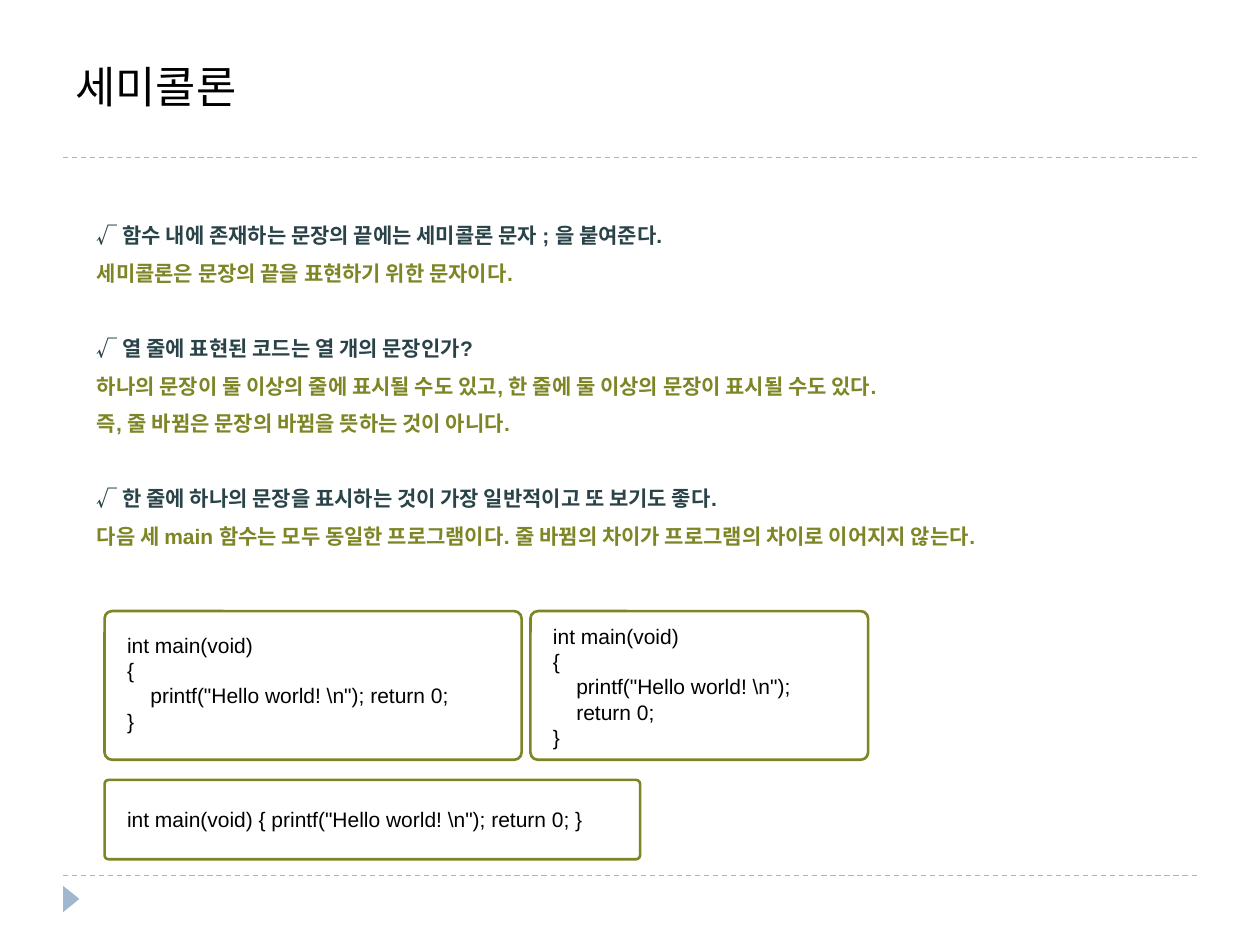
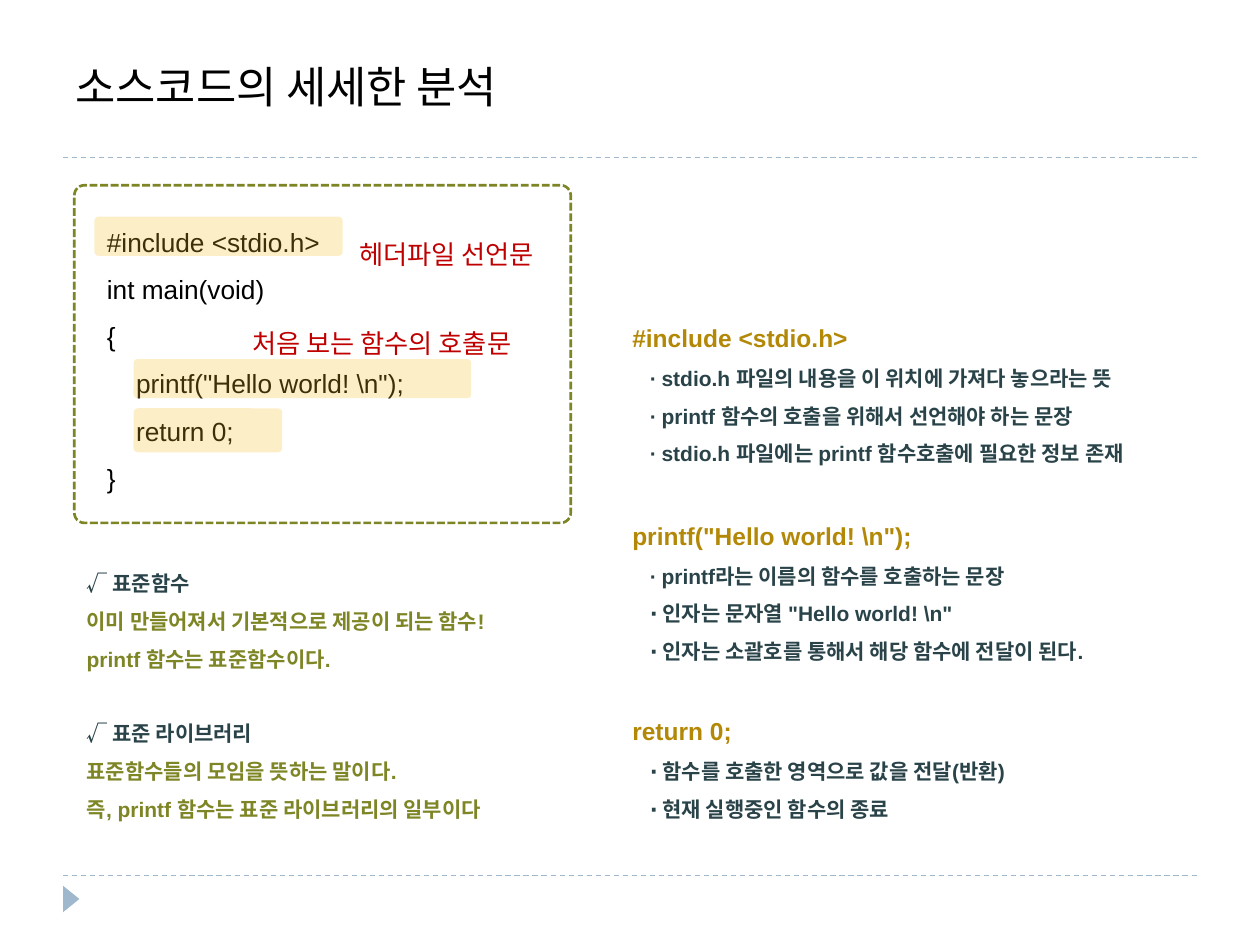
"""Build two slides on semicolons and on the parts of a first C program."""
import pptx
import pptx.util
import pptx.dml.color
import pptx.enum.dml
import pptx.enum.shapes
import pptx.enum.text
import pptx.oxml
import pptx.oxml.ns
from pptx.util import Inches

COLORS = {
    "rule": "9FB8CD",
    "text": "000000",
    "point": "294349",
    "answer": "7D8525",
    "heading": "B38807",
    "label": "C00000",
    "highlight": "F7C120",
}
LATIN = "Arial"
KOREAN = "Noto Sans CJK KR"
DASH = pptx.enum.dml.MSO_LINE
SHAPE = pptx.enum.shapes.MSO_SHAPE
ANCHOR = pptx.enum.text.MSO_ANCHOR
ALIGN = pptx.enum.text.PP_ALIGN
BLOCK_GAP = 21


def rgb(name):
    return pptx.dml.color.RGBColor.from_string(COLORS[name])


def set_font(paragraph, size, color, bold=False, face=LATIN):
    paragraph.font.name = face
    paragraph.font.size = pptx.util.Pt(size)
    paragraph.font.bold = bold
    paragraph.font.color.rgb = rgb(color)


def indent(paragraph, inches):
    properties = paragraph._p.get_or_add_pPr()
    properties.set("marL", str(Inches(inches)))
    properties.set("indent", "0")


def add_rule(slide, y):
    rule = slide.shapes.add_connector(
        pptx.enum.shapes.MSO_CONNECTOR.STRAIGHT,
        Inches(0.5), Inches(y), Inches(9.5), Inches(y))
    rule.line.color.rgb = rgb("rule")
    rule.line.width = pptx.util.Pt(0.75)
    rule.line.dash_style = DASH.DASH
    rule._element.spPr.append(pptx.oxml.parse_xml(
        f'<a:effectLst {pptx.oxml.ns.nsdecls("a")}/>'))


def add_shape(slide, preset, area):
    shape = slide.shapes.add_shape(preset, *map(Inches, area))
    shape.shadow.inherit = False
    return shape


def add_titled_slide(deck, title):
    slide = deck.slides.add_slide(deck.slide_layouts[5])
    for y in (6.95, 1.25):
        add_rule(slide, y)
    marker = add_shape(slide, SHAPE.ISOSCELES_TRIANGLE, (0.46, 7.07, 0.21, 0.13))
    marker.rotation = 90
    marker.fill.solid()
    marker.fill.fore_color.rgb = rgb("rule")
    marker.line.fill.background()

    holder = slide.shapes.title
    holder.left, holder.top = Inches(0.5), Inches(0.17)
    holder.width, holder.height = Inches(9), Inches(0.77)
    frame = holder.text_frame
    frame.text = title
    frame.auto_size = pptx.enum.text.MSO_AUTO_SIZE.NONE
    frame.vertical_anchor = ANCHOR.BOTTOM
    frame.paragraphs[0].alignment = ALIGN.LEFT
    set_font(frame.paragraphs[0], 25, "text")
    return slide


def add_paragraphs(slide, area, lines):
    """Add a text box and yield a paragraph for each line."""
    box = slide.shapes.add_textbox(*map(Inches, area))
    frame = box.text_frame
    frame.word_wrap = True
    for index, line in enumerate(lines):
        paragraph = frame.add_paragraph() if index else frame.paragraphs[0]
        paragraph.text = line
        yield index, paragraph


def add_code(slide, area, lines, body_rows, size=12, spacing=1.0):
    """Add code whose body rows are indented by four spaces."""
    for row, paragraph in add_paragraphs(slide, area, lines):
        set_font(paragraph, size, "text")
        paragraph.line_spacing = spacing
        if row in body_rows:
            indent(paragraph, size * 4 * 0.278 / 72)


def add_points(slide, area, blocks):
    """Add blocks that each hold a point followed by its answers."""
    lines = [line for block in blocks for line in block]
    starts = {sum(map(len, blocks[:n])) for n in range(len(blocks))}
    for row, paragraph in add_paragraphs(slide, area, lines):
        set_font(paragraph, 12, "point" if row in starts else "answer", True)
        paragraph.line_spacing = 1.5
        if row and row in starts:
            paragraph.space_before = pptx.util.Pt(BLOCK_GAP)


def add_explanation(slide, top, height, statement, notes):
    lines = [statement] + [f"∙ {note}" for note in notes]
    for row, paragraph in add_paragraphs(slide, (4.92, top, 4.8, height), lines):
        paragraph.line_spacing = 1.5
        if row:
            set_font(paragraph, 12, "point", True)
            indent(paragraph, 0.14)
        else:
            set_font(paragraph, 14, "heading", True)


def add_label(slide, area, text):
    for _, paragraph in add_paragraphs(slide, area, [text]):
        set_font(paragraph, 15, "label", face=KOREAN)
        paragraph.alignment = ALIGN.CENTER
    slide.shapes[-1].text_frame.vertical_anchor = ANCHOR.MIDDLE


def add_frame(slide, area, rounding=0.05, dash=DASH.SOLID):
    frame = add_shape(slide, SHAPE.ROUNDED_RECTANGLE, area)
    frame.adjustments[0] = rounding
    frame.fill.background()
    frame.line.color.rgb = rgb("answer")
    frame.line.width = pptx.util.Pt(1.5)
    frame.line.dash_style = dash


def add_highlight(slide, area):
    mark = add_shape(slide, SHAPE.ROUNDED_RECTANGLE, area)
    mark.adjustments[0] = 0.1
    mark.line.fill.background()
    mark.fill.solid()
    mark.fill.fore_color.rgb = rgb("highlight")
    color = mark._element.spPr.find(".//" + pptx.oxml.ns.qn("a:srgbClr"))
    color.append(pptx.oxml.parse_xml(
        f'<a:alpha {pptx.oxml.ns.nsdecls("a")} val="25000"/>'))


def build_semicolon_slide(deck):
    slide = add_titled_slide(deck, "세미콜론")
    add_points(slide, (0.67, 1.62, 8.9, 2.83), [
        ["√ 함수 내에 존재하는 문장의 끝에는 세미콜론 문자 ; 을 붙여준다.",
         "세미콜론은 문장의 끝을 표현하기 위한 문자이다."],
        ["√ 열 줄에 표현된 코드는 열 개의 문장인가?",
         "하나의 문장이 둘 이상의 줄에 표시될 수도 있고, "
         "한 줄에 둘 이상의 문장이 표시될 수도 있다.",
         "즉, 줄 바뀜은 문장의 바뀜을 뜻하는 것이 아니다."],
        ["√ 한 줄에 하나의 문장을 표시하는 것이 가장 일반적이고 또 보기도 좋다.",
         "다음 세 main 함수는 모두 동일한 프로그램이다. "
         "줄 바뀜의 차이가 프로그램의 차이로 이어지지 않는다."],
    ])
    add_code(slide, (4.29, 4.9, 2.52, 1.11),
             ["int main(void)", "{", 'printf("Hello world! \\n");', "return 0;", "}"],
             (2, 3))
    add_code(slide, (0.91, 4.97, 2.99, 0.91),
             ["int main(void)", "{", 'printf("Hello world! \\n"); return 0;', "}"],
             (2,))
    add_code(slide, (0.91, 6.35, 4.25, 0.31),
             ['int main(void) { printf("Hello world! \\n"); return 0; }'], ())
    for area in ((4.21, 4.85, 2.68, 1.18), (0.83, 4.85, 3.31, 1.18),
                 (0.83, 6.19, 4.25, 0.63)):
        add_frame(slide, area)


def build_analysis_slide(deck):
    slide = add_titled_slide(deck, "소스코드의 세세한 분석")
    add_code(slide, (0.75, 1.62, 3.39, 2.32),
             ["#include <stdio.h>", "int main(void)", "{",
              'printf("Hello world! \\n");', "return 0;", "}"],
             (3, 4), size=15, spacing=1.5)
    add_frame(slide, (0.59, 1.47, 3.94, 2.68), 0.03, DASH.SQUARE_DOT)
    for area in ((0.75, 1.72, 1.97, 0.31), (1.06, 2.85, 2.68, 0.31),
                 (1.06, 3.24, 1.18, 0.35)):
        add_highlight(slide, area)
    add_label(slide, (2.64, 1.78, 1.81, 0.47), "헤더파일 선언문")
    add_label(slide, (1.77, 2.49, 2.52, 0.47), "처음 보는 함수의 호출문")
    add_points(slide, (0.59, 4.38, 3.94, 2.22), [
        ["√ 표준함수",
         "이미 만들어져서 기본적으로 제공이 되는 함수!",
         "printf 함수는 표준함수이다."],
        ["√ 표준 라이브러리",
         "표준함수들의 모임을 뜻하는 말이다.",
         "즉, printf 함수는 표준 라이브러리의 일부이다"],
    ])
    add_explanation(slide, 2.4, 1.36, "#include <stdio.h>", [
        "stdio.h 파일의 내용을 이 위치에 가져다 놓으라는 뜻",
        "printf 함수의 호출을 위해서 선언해야 하는 문장",
        "stdio.h 파일에는 printf 함수호출에 필요한 정보 존재"])
    add_explanation(slide, 3.97, 1.36, 'printf("Hello world! \\n");', [
        "printf라는 이름의 함수를 호출하는 문장",
        '인자는 문자열 "Hello world! \\n"',
        "인자는 소괄호를 통해서 해당 함수에 전달이 된다."])
    add_explanation(slide, 5.52, 1.06, "return 0;", [
        "함수를 호출한 영역으로 값을 전달(반환)",
        "현재 실행중인 함수의 종료"])


def main():
    deck = pptx.Presentation()
    deck.slide_width, deck.slide_height = Inches(10), Inches(7.5)
    build_semicolon_slide(deck)
    build_analysis_slide(deck)
    deck.save("out.pptx")


if __name__ == "__main__":
    main()
